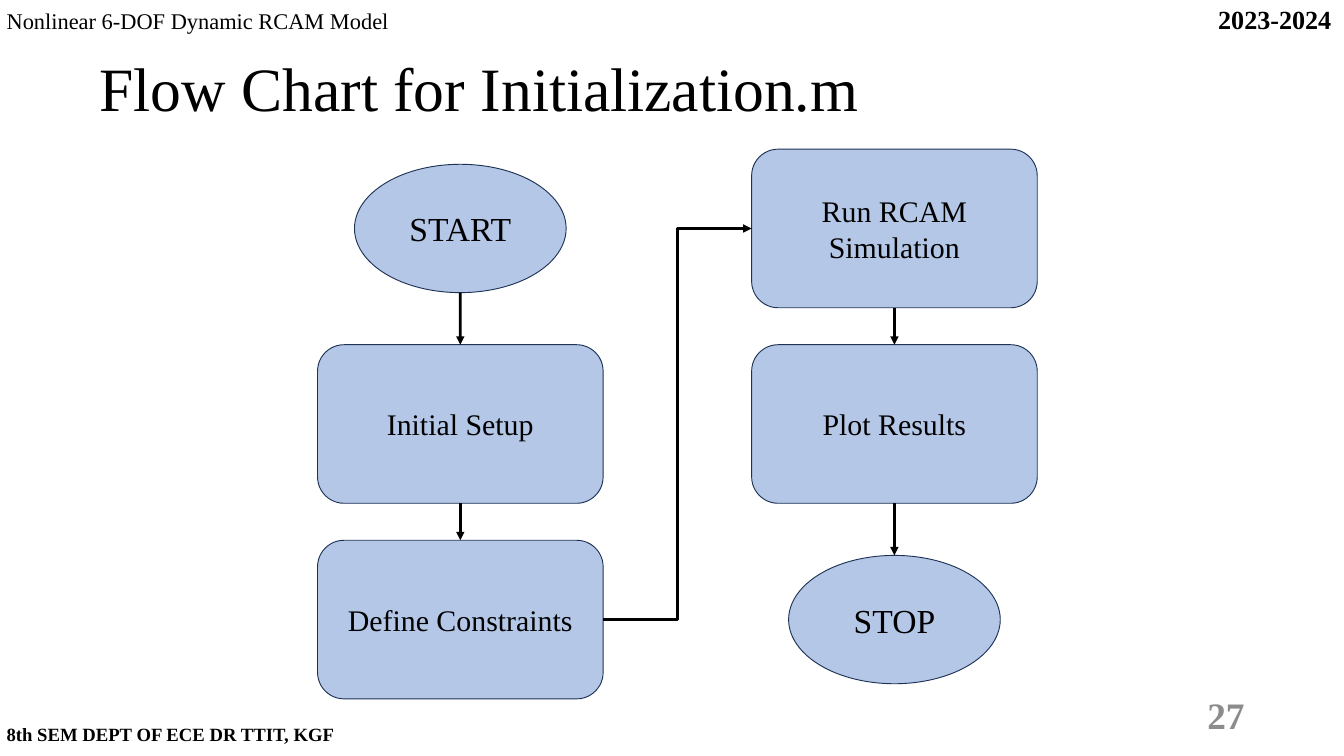
from lxml import etree
from pptx import Presentation
from pptx.dml.color import RGBColor
from pptx.enum.shapes import MSO_CONNECTOR as Link, MSO_SHAPE as Shape
from pptx.enum.text import MSO_ANCHOR as Anchor, MSO_AUTO_SIZE as Fit, PP_ALIGN as Align
from pptx.oxml.ns import qn
from pptx.util import Inches, Pt

FONT = "Times New Roman"
BLACK = RGBColor(0, 0, 0)
GREY = RGBColor(0x8C, 0x8C, 0x8C)
BLUE = RGBColor(0xB4, 0xC7, 0xE7)
NAVY = RGBColor(0x1E, 0x32, 0x56)

TITLE = "Flow Chart for Initialization.m"
STEPS = [
    ("START", "terminal", 0, 0),
    ("Initial Setup", "process", 0, 1),
    ("Define Constraints", "process", 0, 2),
    ("Run RCAM Simulation", "process", 1, 0),
    ("Plot Results", "process", 1, 1),
    ("STOP", "terminal", 1, 2),
]
KINDS = {
    "terminal": (Shape.OVAL, 3.15, 1.91, 36),
    "process": (Shape.FLOWCHART_ALTERNATE_PROCESS, 4.25, 2.36, 32),
}
LABELS = [
    ("27", (14.12, 10.33, 4.5, 0.6), 40, True, GREY, Align.RIGHT, Anchor.MIDDLE),
    ("8th SEM DEPT OF ECE DR TTIT, KGF", (0, 10.73, 7.3, 0.4), 20, True, BLACK, Align.LEFT, Anchor.MIDDLE),
    ("Nonlinear 6-DOF Dynamic RCAM Model", (0, 0, 7.53, 0.53), 24, False, BLACK, Align.LEFT, Anchor.TOP),
    ("2023-2024", (18.03, 0, 1.97, 0.57), 28, True, BLACK, Align.LEFT, Anchor.TOP),
]
FIRST_X, COLUMN_STEP = 6.85, 6.46
FIRST_Y, ROW_STEP = 3.4, 2.91


def write(shape, text, size, color=BLACK, bold=False, align=Align.LEFT, anchor=Anchor.MIDDLE):
    frame = shape.text_frame
    frame.text = text
    frame.word_wrap = True
    frame.auto_size = Fit.NONE
    frame.vertical_anchor = anchor
    para = frame.paragraphs[0]
    para.alignment = align
    para.font.name = FONT
    para.font.size = Pt(size)
    para.font.bold = bold
    para.font.color.rgb = color
    return para


def place(shape, left, top, width, height):
    shape.left, shape.top = Inches(left), Inches(top)
    shape.width, shape.height = Inches(width), Inches(height)


def add_step(page, text, kind, column, row):
    outline, width, height, size = KINDS[kind]
    left = FIRST_X + column * COLUMN_STEP - width / 2
    top = FIRST_Y + row * ROW_STEP - height / 2
    box = page.shapes.add_shape(outline, Inches(left), Inches(top), Inches(width), Inches(height))
    box.shadow.inherit = False
    box.fill.solid()
    box.fill.fore_color.rgb = BLUE
    box.line.color.rgb = NAVY
    box.line.width = Pt(1)
    write(box, text, size, align=Align.CENTER)
    return box


def add_arrow(page, link, *ends):
    arrow = page.shapes.add_connector(link, *ends)
    arrow.line.color.rgb = BLACK
    arrow.line.width = Pt(3)
    etree.SubElement(arrow.line._get_or_add_ln(), qn("a:tailEnd"), type="triangle")
    etree.SubElement(arrow._element.spPr, qn("a:effectLst"))


def join(page, source, target):
    source_x = source.left + source.width // 2
    target_x = target.left + target.width // 2
    if target.top > source.top:
        add_arrow(page, Link.STRAIGHT, source_x, source.top + source.height, target_x, target.top)
    else:
        add_arrow(page, Link.ELBOW, source.left + source.width, source.top + source.height // 2,
                  target.left, target.top + target.height // 2)


def main():
    deck = Presentation()
    deck.slide_width, deck.slide_height = Inches(20), Inches(11.25)
    page = deck.slides.add_slide(deck.slide_layouts[5])

    title = page.shapes.title
    place(title, 1.38, 0.27, 17.25, 2.17)
    write(title, TITLE, 66).line_spacing = 0.9

    boxes = [add_step(page, *step) for step in STEPS]
    for source, target in zip(boxes, boxes[1:]):
        join(page, source, target)

    for text, area, size, bold, color, align, anchor in LABELS:
        label = page.shapes.add_textbox(*map(Inches, area))
        para = write(label, text, size, color, bold, align, anchor)
        if not bold:
            para.line_spacing = 1.15

    deck.save("out.pptx")


if __name__ == "__main__":
    main()
